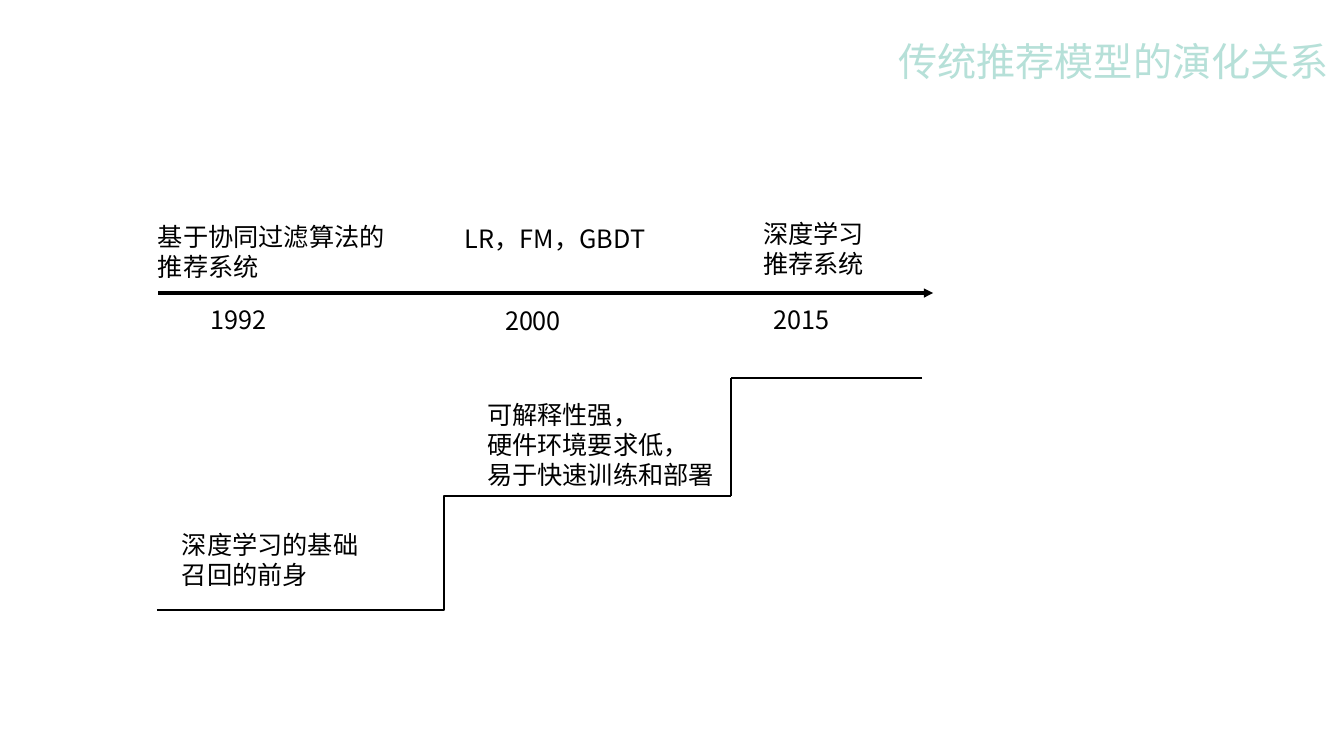
from dataclasses import dataclass

from lxml.etree import SubElement
from pptx import Presentation
from pptx.dml.color import RGBColor as Rgb
from pptx.enum.shapes import MSO_CONNECTOR as Link
from pptx.enum.text import MSO_AUTO_SIZE as Fit
from pptx.oxml.ns import qn
from pptx.util import Emu, Inches, Pt


@dataclass(frozen=True)
class Theme:
    ink: str = "000000"
    mint: str = "B6E0D8"
    head: int = 28
    body: int = 18
    face: str = "Noto Sans CJK SC"
    title: str = "Roboto"
    thin: float = 1.5
    bold: float = 2.25


class Board:
    """Holds the theme and the current slide; lengths are px."""

    SCALE = 914400 / 100.8

    def __init__(self, slide, theme):
        self.slide = slide
        self.theme = theme

    def emu(self, *sizes):
        return [Emu(round(size * self.SCALE)) for size in sizes]

    def text(self, box, lines, size=None, color=None, face=None, wrap=True):
        theme = self.theme
        frame = self.slide.shapes.add_textbox(*self.emu(*box)).text_frame
        frame.word_wrap = wrap
        frame.auto_size = Fit.SHAPE_TO_FIT_TEXT
        for i, line in enumerate(lines):
            para = frame.add_paragraph() if i else frame.paragraphs[0]
            run = para.add_run()
            run.text = line
            font = run.font
            font.size = Pt(size or theme.body)
            font.color.rgb = Rgb.from_string(color or theme.ink)
            font.name = face or theme.face
            # East Asian glyphs take their own font entry
            SubElement(run._r.get_or_add_rPr(), qn("a:ea"), typeface=font.name)

    def line(self, ends, width=None, kind=Link.STRAIGHT, arrow=False):
        theme = self.theme
        link = self.slide.shapes.add_connector(kind, *self.emu(*ends))
        link.line.color.rgb = Rgb.from_string(theme.ink)
        link.line.width = Pt(width or theme.thin)
        if arrow:
            SubElement(link.line._get_or_add_ln(), qn("a:tailEnd"), type="triangle")
        SubElement(link._element.spPr, qn("a:effectLst"))


def main():
    deck = Presentation()
    deck.slide_width, deck.slide_height = Inches(13.33), Inches(7.5)
    theme = Theme()
    board = Board(deck.slides.add_slide(deck.slide_layouts[6]), theme)

    board.text((888, 32, 456, 57), ["传统推荐模型的演化关系"],
               theme.head, theme.mint, theme.title, wrap=False)

    board.line((158, 293, 933, 293), theme.bold, arrow=True)
    for left, top, year in ((201, 299, "1992"), (495, 300, "2000"), (763, 299, "2015")):
        board.text((left, top, 101, 40), [year])

    eras = (
        (148, 216, 72, ["基于协同过滤算法的推荐系统"]),
        (455, 218, 40, ["LR，FM，GBDT"]),
        (753, 213, 72, ["深度学习", "推荐系统"]),
    )
    for left, top, high, lines in eras:
        board.text((left, top, 247, high), lines)

    notes = (
        (477, 394, 102, ["可解释性强，", "硬件环境要求低，", "易于快速训练和部署"]),
        (172, 524, 72, ["深度学习的基础", "召回的前身"]),
    )
    for left, top, high, lines in notes:
        board.text((left, top, 266, high), lines)

    # Stairs: two lower steps, then the riser and the top step
    low, mid, high, riser = 610, 496, 378, 731
    board.line((157, low, riser, mid), kind=Link.ELBOW)
    board.line((riser, mid, riser, high))
    board.line((922, high, riser, high))

    deck.save("out.pptx")


if __name__ == "__main__":
    main()
